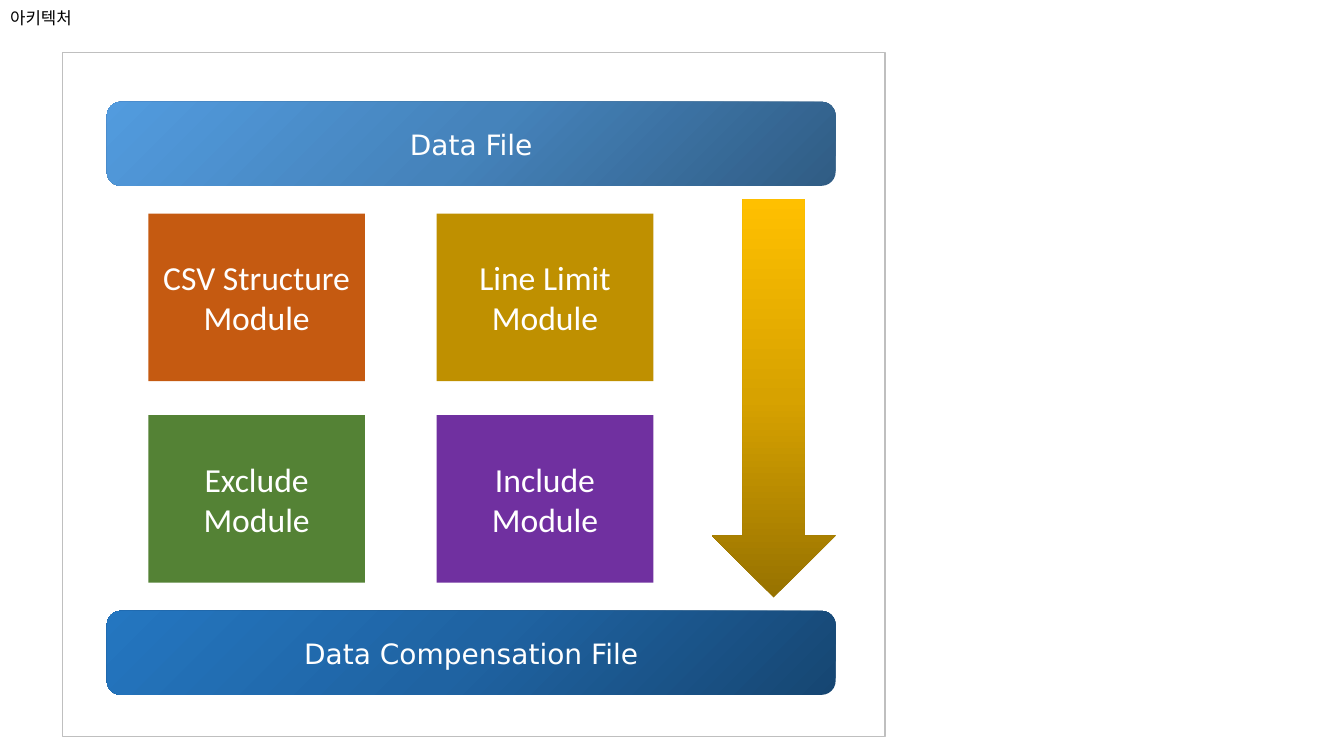
from copy import deepcopy

from pptx import Presentation
from pptx.dml.color import RGBColor
from pptx.enum.shapes import MSO_SHAPE
from pptx.enum.text import MSO_ANCHOR, PP_ALIGN
from pptx.oxml.ns import qn
from pptx.util import Pt

BLACK = RGBColor(0x00, 0x00, 0x00)
WHITE = RGBColor(0xFF, 0xFF, 0xFF)
GRAY = RGBColor(0xBF, 0xBF, 0xBF)
ORANGE = RGBColor(0xC5, 0x5A, 0x11)
GOLD = RGBColor(0xBF, 0x90, 0x00)
GREEN = RGBColor(0x54, 0x82, 0x35)
PURPLE = RGBColor(0x70, 0x30, 0xA0)
# Gradients run from dark through middle to light
LIGHT_BLUES = [RGBColor(0x30, 0x5C, 0x84), RGBColor(0x45, 0x83, 0xBB), RGBColor(0x52, 0x9B, 0xDE)]
DEEP_BLUES = [RGBColor(0x16, 0x46, 0x72), RGBColor(0x1F, 0x63, 0xA2), RGBColor(0x24, 0x76, 0xC0)]
YELLOWS = [RGBColor(0x97, 0x72, 0x00), RGBColor(0xD7, 0xA2, 0x00), RGBColor(0xFF, 0xC0, 0x00)]

# Content
HEADING = "아키텍처"
FILES = [("Data File", 72.7, LIGHT_BLUES), ("Data Compensation File", 436.3, DEEP_BLUES)]
MODULES = [
    [("CSV Structure\nModule", ORANGE), ("Line Limit\nModule", GOLD)],
    [("Exclude\nModule", GREEN), ("Include\nModule", PURPLE)],
]

# Layout in points
FRAME = (44.6, 37.4, 587.5, 488.9)
FILE_LEFT, FILE_WIDTH, FILE_HEIGHT = 76.3, 520.6, 60
ARROW_WIDTH = 88.6
ARROW = (FILE_LEFT + FILE_WIDTH - ARROW_WIDTH, 142.4, ARROW_WIDTH, 284.4)
MODULE_LEFT, MODULE_TOP = 105.9, 152.6
MODULE_WIDTH, MODULE_HEIGHT = 154.8, 119.6
COLUMN_STEP, ROW_STEP = 206, 144


def add_part(slide, preset, box):
    part = slide.shapes.add_shape(preset, *(Pt(value) for value in box))
    part.shadow.inherit = False
    part.line.fill.background()
    return part


def fill_gradient(part, colors, angle):
    part.fill.gradient()
    part.fill.gradient_angle = angle
    stop_list = part._element.spPr.find(qn("a:gradFill")).find(qn("a:gsLst"))
    stop_list.append(deepcopy(stop_list[-1]))
    for stop, position, color in zip(part.fill.gradient_stops, (0, 0.5, 1), colors):
        stop.position = position
        stop.color.rgb = color


def write(part, text, font, size, color, align):
    part.text_frame.text = text
    part.text_frame.vertical_anchor = MSO_ANCHOR.MIDDLE
    for paragraph in part.text_frame.paragraphs:
        paragraph.alignment = align
        for run in paragraph.runs:
            run.font.name, run.font.size = font, Pt(size)
            run.font.color.rgb = color


prs = Presentation()
prs.slide_width, prs.slide_height = Pt(960), Pt(540)
slide = prs.slides.add_slide(prs.slide_layouts[5])

# Heading
heading = slide.shapes.title
heading.left, heading.top, heading.width, heading.height = Pt(0), Pt(2), Pt(63.4), Pt(21.8)
write(heading, HEADING, "Calibri", 12, BLACK, PP_ALIGN.LEFT)
heading.text_frame.word_wrap = False

# File bars
for name, top, blues in FILES:
    bar = add_part(slide, MSO_SHAPE.ROUNDED_RECTANGLE, (FILE_LEFT, top, FILE_WIDTH, FILE_HEIGHT))
    fill_gradient(bar, blues, 135)
    write(bar, name, "DejaVu Sans", 20, WHITE, PP_ALIGN.CENTER)

# Frame around the architecture
frame = add_part(slide, MSO_SHAPE.RECTANGLE, FRAME)
frame.fill.background()
frame.line.color.rgb = GRAY
frame.line.width = Pt(1)

# Flow arrow
arrow = add_part(slide, MSO_SHAPE.DOWN_ARROW, ARROW)
fill_gradient(arrow, YELLOWS, 90)

# Module grid
for row, modules in enumerate(MODULES):
    for column, (name, color) in enumerate(modules):
        left = MODULE_LEFT + column * COLUMN_STEP
        top = MODULE_TOP + row * ROW_STEP
        module = add_part(slide, MSO_SHAPE.RECTANGLE, (left, top, MODULE_WIDTH, MODULE_HEIGHT))
        module.fill.solid()
        module.fill.fore_color.rgb = color
        write(module, name, "Calibri", 24, WHITE, PP_ALIGN.CENTER)

prs.save("out.pptx")
